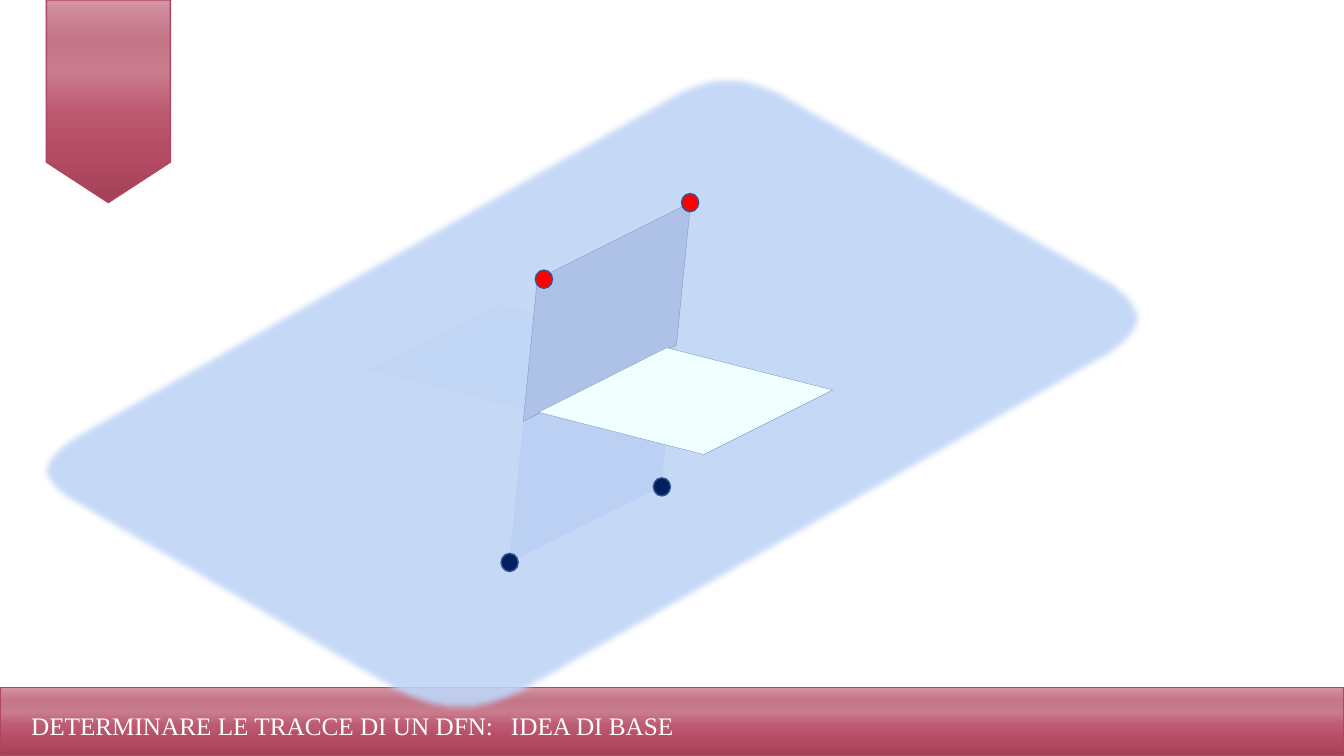
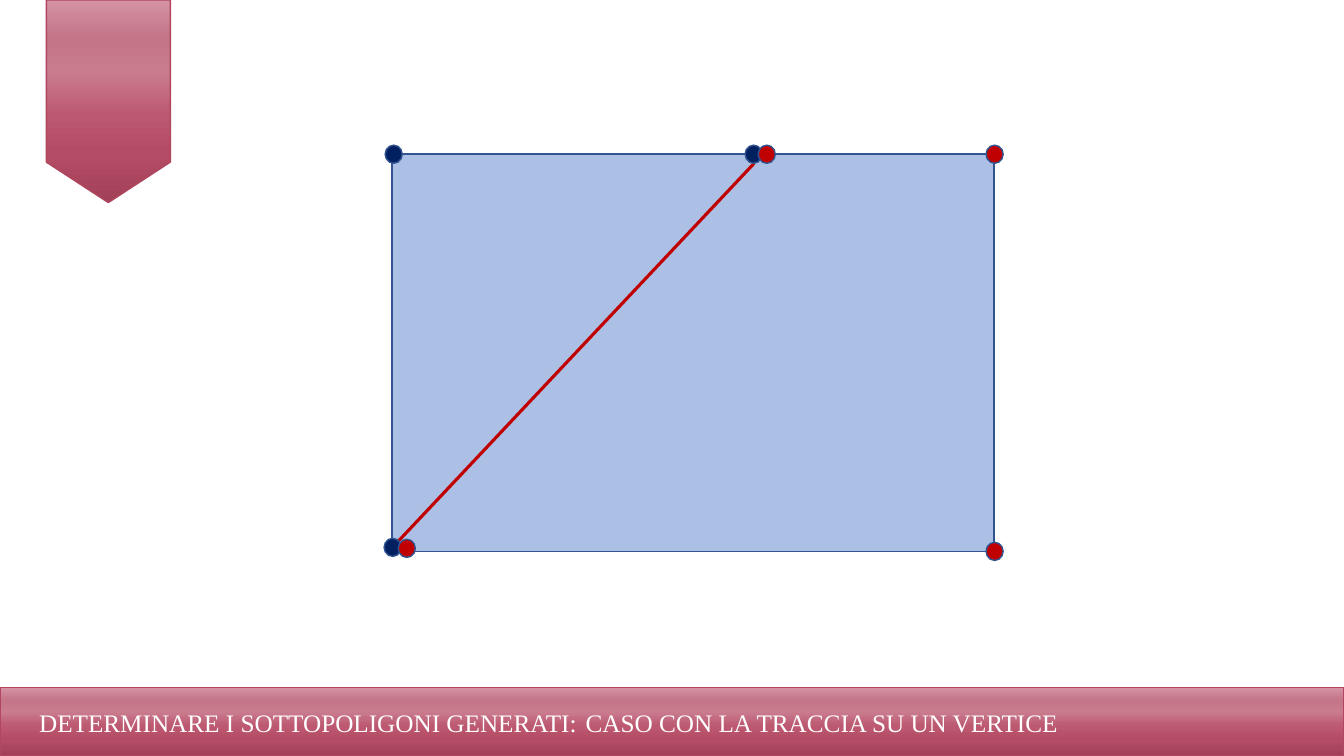
import pptx
import pptx.util
import pptx.dml.color
import pptx.enum.shapes
import pptx.oxml
import pptx.oxml.ns
from dataclasses import dataclass

Inches = pptx.util.Inches
Shapes = pptx.enum.shapes.MSO_SHAPE
NAMESPACE = pptx.oxml.ns.nsdecls("a")


@dataclass(frozen=True)
class Theme:
    font: str = "Times New Roman"
    title_size: int = 18
    white: str = "FFFFFF"
    band_line: str = "B0465F"
    outline: str = "325491"
    thin_outline: str = "7F96C0"
    polygon: str = "ABC0E4"
    upright: str = "AEC1E7"
    upright_below: str = "BCD0F4"
    pale: str = "F0FFFF"
    flat_behind: str = "C2D6F6"
    flat_behind_line: str = "BDD1F2"
    plane: str = "BFD5F7"
    navy: str = "002060"
    red: str = "FF0000"
    dark_red: str = "C00000"
    band_stops: tuple = ((0, "A24057"), (25, "B44C65"), (43, "BC5870"),
                         (65, "CA7C8F"), (81, "C57588"), (99, "D391A1"))


theme = Theme()


def add_text(slide, text, *, left, top, width, height=0.4, wrap=True,
             size=theme.title_size, color=theme.white):
    box = slide.shapes.add_textbox(Inches(left), Inches(top), Inches(width), Inches(height))
    box.text_frame.word_wrap = wrap
    run = box.text_frame.paragraphs[0].add_run()
    run.text = text
    run.font.name = theme.font
    run.font.size = pptx.util.Pt(size)
    run.font.color.rgb = pptx.dml.color.RGBColor.from_string(color)


def paint(shape, fill, line=theme.outline, width=1):
    """Fill and outline a shape; without a fill colour it gets the band gradient."""
    shape.shadow.inherit = False
    if fill:
        shape.fill.solid()
        shape.fill.fore_color.rgb = pptx.dml.color.RGBColor.from_string(fill)
    else:
        shape.fill.gradient()
        shape.fill.gradient_angle = 90
        stop_list = shape._element.spPr.find(".//" + pptx.oxml.ns.qn("a:gsLst"))
        for stop in list(stop_list):
            stop_list.remove(stop)
        for position, color in theme.band_stops:
            stop_list.append(pptx.oxml.parse_xml(
                f'<a:gs {NAMESPACE} pos="{position * 1000}"><a:srgbClr val="{color}"/></a:gs>'))
    if line:
        shape.line.color.rgb = pptx.dml.color.RGBColor.from_string(line)
        shape.line.width = pptx.util.Pt(width)
    else:
        shape.line.fill.background()


presentation = pptx.Presentation()
presentation.slide_width = Inches(13.33)
presentation.slide_height = Inches(7.5)

# Shared ribbon, footer band and two-part title
titles = [
    (("DETERMINARE LE TRACCE DI UN DFN:", 0.21, 7, 7.71, True),
     ("IDEA DI BASE", 4.97, 7, 1.83, False)),
    (("DETERMINARE I SOTTOPOLIGONI GENERATI:", 0.29, 6.97, 8.1, True),
     ("CASO CON LA TRACCIA SU UN VERTICE", 5.71, 6.97, 4.93, False)),
]
bands = [(Shapes.FLOWCHART_OFFPAGE_CONNECTOR, 0.46, 0, 1.23, 2.01),
         (Shapes.RECTANGLE, 0, 6.82, 13.33, 0.68)]
for title_parts in titles:
    slide = presentation.slides.add_slide(presentation.slide_layouts[6])
    for kind, *box in bands:
        paint(slide.shapes.add_shape(kind, *map(Inches, box)), None, theme.band_line)
    for text, left, top, width, wrap in title_parts:
        add_text(slide, text, left=left, top=top, width=width, wrap=wrap)
planes_slide, vertex_slide = presentation.slides

# Large plane: each rounded corner is a curve from start to end, pulled to the corner
corners = [
    ((0.74, 4.29), (0.1, 4.68), (0.74, 5.04)),
    ((3.87, 6.87), (4.54, 7.24), (5.21, 6.9)),
    ((11.06, 3.54), (11.6, 3.16), (11.06, 2.78)),
    ((7.81, 0.92), (7.22, 0.6), (6.65, 0.92)),
]
steps = 12
plane = []
for start, corner, end in corners:
    for step in range(steps + 1):
        t = step / steps
        plane.append(tuple((1 - t) ** 2 * a + 2 * t * (1 - t) * b + t ** 2 * c
                           for a, b, c in zip(start, corner, end)))

# The plane, then two crossing polygons, each split where it meets the plane
upright_left, upright_right = (5.19, 4.18), (6.71, 3.42)
flat_left, flat_right = (5.34, 4.09), (6.61, 3.45)
polygons = [
    (plane, theme.plane, None),
    ([(3.67, 3.67), (4.96, 3.03), flat_right, flat_left],
     theme.flat_behind, theme.flat_behind_line),
    ([upright_left, (5.05, 5.58), (6.56, 4.83), upright_right], theme.upright_below, None),
    ([(5.33, 2.77), (6.85, 2.01), upright_right, upright_left],
     theme.upright, theme.thin_outline),
    ([flat_left, flat_right, (8.26, 3.87), (6.98, 4.51)], theme.pale, theme.thin_outline),
]
for outline, fill, line in polygons:
    points = [(Inches(x), Inches(y)) for x, y in outline]
    builder = planes_slide.shapes.build_freeform(*points[0])
    builder.add_line_segments(points[1:], close=True)
    shape = builder.convert_to_shape()
    paint(shape, fill, line, 0.25)
    if outline is plane:
        properties = shape._element.spPr
        color = properties.find(".//" + pptx.oxml.ns.qn("a:srgbClr"))
        color.append(pptx.oxml.parse_xml(f'<a:alpha {NAMESPACE} val="90000"/>'))
        effects = properties.find(pptx.oxml.ns.qn("a:effectLst"))
        effects.append(pptx.oxml.parse_xml(f'<a:softEdge {NAMESPACE} rad="50800"/>'))

# Rectangle cut by the trace
rectangle = vertex_slide.shapes.add_shape(
    Shapes.RECTANGLE, Inches(3.89), Inches(1.53), Inches(5.97), Inches(3.94))
paint(rectangle, theme.polygon)
trace = vertex_slide.shapes.add_connector(
    pptx.enum.shapes.MSO_CONNECTOR.STRAIGHT,
    Inches(3.95), Inches(5.37), Inches(7.48), Inches(1.62))
trace.line.color.rgb = pptx.dml.color.RGBColor.from_string(theme.dark_red)
trace.line.width = pptx.util.Pt(2.25)
trace._element.spPr.append(pptx.oxml.parse_xml(f"<a:effectLst {NAMESPACE}/>"))

# Vertices
vertices = [
    (planes_slide, theme.red, [(6.76, 1.92), (5.31, 2.68)]),
    (planes_slide, theme.navy, [(4.97, 5.49), (6.48, 4.74)]),
    (vertex_slide, theme.navy, [(3.81, 5.34), (7.39, 1.44), (3.82, 1.44)]),
    (vertex_slide, theme.dark_red, [(9.78, 1.44), (9.78, 5.38), (3.95, 5.35), (7.52, 1.44)]),
]
for slide, color, positions in vertices:
    for left, top in positions:
        paint(slide.shapes.add_shape(
            Shapes.OVAL, Inches(left), Inches(top), Inches(0.17), Inches(0.18)), color)

presentation.save("out.pptx")
